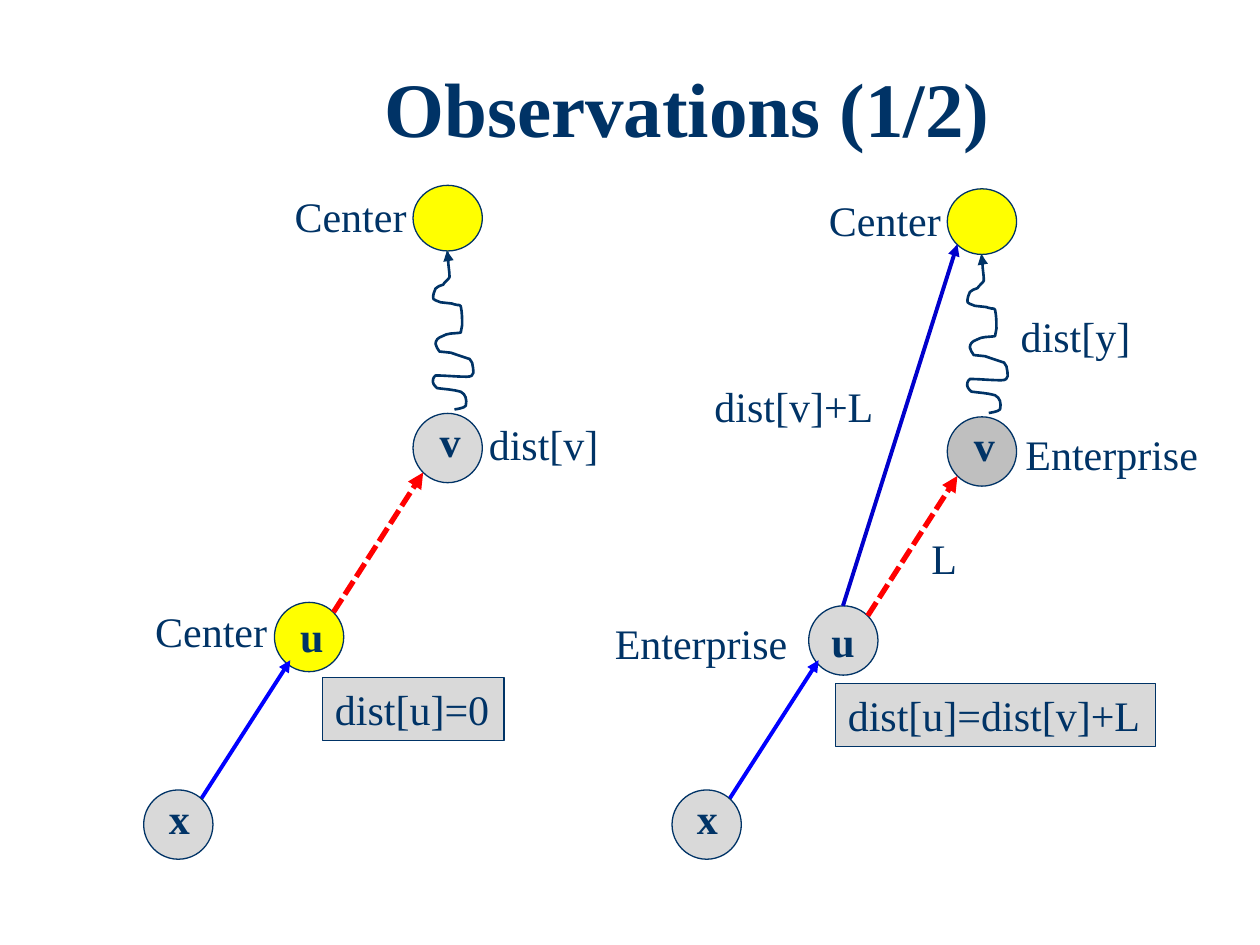
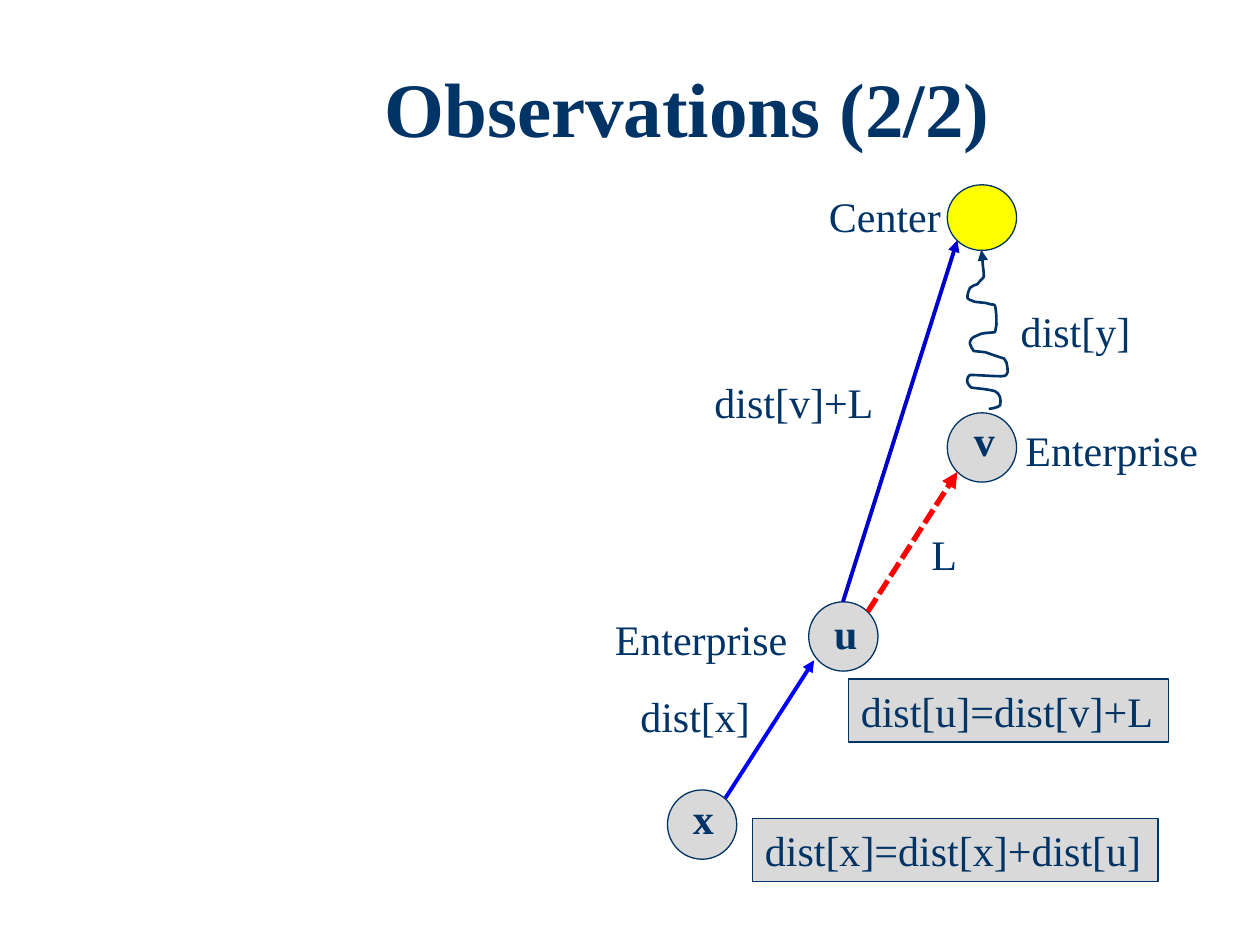
"""Build two slides of tree diagrams showing how distances to a center change."""
import pptx
import pptx.util
import pptx.dml.color
import pptx.enum.dml
import pptx.enum.shapes
import pptx.enum.text
import pptx.oxml
import pptx.oxml.ns

Pt = pptx.util.Pt
FONT = "Times New Roman"
HUE = {"ink": "003366", "sun": "FFFF00", "pale": "D9D9D9", "gray": "BFBFBF",
       "red": "FF0000", "blue": "0000FF", "deep": "0000CC"}
NODE, TALL = 39.6, 36
BASE = 451.4
WIDE = {"Center": 79.2, "Enterprise": 113.8, "dist[v]": 77.8, "dist[y]": 77.8,
        "dist[x]": 77.8, "dist[v]+L": 105.8, "L": 29.5, "u": 28.1, "v": 26.6,
        "x": 26.6, "dist[u]=0": 103.7, "dist[u]=dist[v]+L": 182.9,
        "dist[x]=dist[x]+dist[u]": 231.8}
START = (12.2, 90.7)
WAVE = [
    (12.2, 90.7, 18, 90, 18.7, 88.6), (19.4, 85, 18.7, 82.1, 15.8, 80.6),
    (10.8, 79.2, 7.2, 79.2, 2.2, 78.5), (0.7, 77, -0.7, 75.6, 0, 73.4),
    (0, 72.7, 0.7, 72, 1.4, 71.3), (7.2, 71.3, 13, 72, 19.4, 72),
    (24.5, 72, 23, 68.4, 22.3, 64.1), (21.6, 63.4, 21.6, 62.6, 20.9, 61.9),
    (19.4, 61.2, 18, 61.2, 16.6, 60.5), (12.2, 59),
    (11.5, 59, 10.8, 58.3, 10.1, 58.3), (3.6, 57.6),
    (2.9, 56.2, 1.4, 54.7, 1.4, 53.3), (1.4, 51.1, 2.9, 49.7, 5, 49),
    (8.6, 46.8, 11.5, 47.5, 15.8, 46.8), (15.8, 45.4, 16.6, 43.9, 16.6, 42.5),
    (16.6, 38.9, 16.6, 35.3, 15.8, 31.7), (15.8, 31, 14.4, 31, 13.7, 31),
    (12.2, 31, 11.5, 30.2, 10.8, 30.2), (8.6, 30.2, 6.5, 29.5, 4.3, 29.5),
    (2.9, 28.8, -0.7, 28.1, 0, 26.6), (0, 25.2, 0.7, 23, 1.4, 21.6),
    (2.2, 20.2, 4.3, 20.2, 5.8, 19.4), (5.8, 18.7, 9.4, 15.8, 9.4, 15.1),
    (9.4, 11.5, 8.6, 8.6, 8.6, 5), (7.9, -3.6, 7.9, 5.8, 7.9, 0)]

FIRST = {
    "v": (236, 236.2), "x": 82.1, "hues": ("sun", "pale"), "link": False,
    "names": [("v", 244.1, 233.7), ("u", 164.4, 345.6), ("x", 89.5, 449.3)],
    "labels": [("Center", 161.3, 105.5), ("dist[v]", 272.2, 235.4),
               ("Center", 81.6, 342.7)],
    "boxes": [("dist[u]=0", 184.3, 387)]}
NEXT = {
    "v": (541.3, 238.2), "x": 384, "hues": ("pale", "gray"), "link": True,
    "names": [("v", 549.5, 236), ("u", 468, 348), ("x", 391.2, 449.3)],
    "labels": [("Center", 466.6, 107.5), ("dist[y]", 576.2, 173.7),
               ("dist[v]+L", 401.2, 213.9), ("L", 525.1, 301),
               ("Enterprise", 578.9, 241.4), ("Enterprise", 344.2, 349.4)],
    "boxes": [("dist[u]=dist[v]+L", 477.4, 390.6)]}
LAST = {
    "v": (541.3, 235.9), "x": 381.4, "hues": ("pale", "pale"), "link": True,
    "names": [("v", 549.5, 233.5), ("u", 469.6, 343.6), ("x", 388.8, 449.3)],
    "labels": [("Center", 466.6, 105.2), ("dist[y]", 576.2, 171.2),
               ("dist[v]+L", 401.2, 211.7), ("L", 525.1, 298.4),
               ("Enterprise", 578.9, 238.9), ("Enterprise", 344.2, 347),
               ("dist[x]", 358.8, 391)],
    "boxes": [("dist[u]=dist[v]+L", 484.8, 388.1),
              ("dist[x]=dist[x]+dist[u]", 430, 467.8)]}
SLIDES = [("Observations (1/2)", [FIRST, NEXT]), ("Observations (2/2)", [LAST])]


def color(name):
    return pptx.dml.color.RGBColor.from_string(HUE[name])


def style(font, size, bold):
    font.name, font.size, font.bold = FONT, Pt(size), bold
    font.color.rgb = color("ink")


def tag(name, rest=""):
    space = pptx.oxml.ns.nsdecls("a")
    return pptx.oxml.parse_xml(f"<a:{name} {space} {rest}/>")


def form(slide, kind, x, y, wide, high, fill):
    shape = slide.shapes.add_shape(kind, Pt(x), Pt(y), Pt(wide), Pt(high))
    shape.shadow.inherit = False
    shape.fill.solid()
    shape.fill.fore_color.rgb = color(fill)
    shape.line.color.rgb = color("ink")
    shape.line.width = Pt(0.75)
    return shape


def node(slide, x, y, fill, high=NODE):
    form(slide, pptx.enum.shapes.MSO_SHAPE.OVAL, x, y, NODE, high, fill)


def tip(shape, hue, width):
    shape.line.color.rgb = color(hue)
    shape.line.width = Pt(width)
    shape.line._get_or_add_ln().append(tag("tailEnd", 'type="triangle"'))


def arrow(slide, start, end, hue, width=2.25, dash=False):
    line = slide.shapes.add_connector(pptx.enum.shapes.MSO_CONNECTOR.STRAIGHT,
                                      *[Pt(n) for n in start + end])
    if dash:
        line.line.dash_style = pptx.enum.dml.MSO_LINE.SQUARE_DOT
    tip(line, hue, width)
    line._element.spPr.append(tag("effectLst"))


def write(box, text, bold=False):
    frame = box.text_frame
    frame.word_wrap = False
    frame.auto_size = pptx.enum.text.MSO_AUTO_SIZE.SHAPE_TO_FIT_TEXT
    frame.vertical_anchor = pptx.enum.text.MSO_ANCHOR.TOP
    frame.text = text
    frame.paragraphs[0].alignment = pptx.enum.text.PP_ALIGN.LEFT
    style(frame.paragraphs[0].font, 24, bold)


def label(slide, text, x, y, bold=False):
    box = slide.shapes.add_textbox(Pt(x), Pt(y), Pt(WIDE[text]), Pt(TALL))
    write(box, text, bold)


def panel(slide, text, x, y):
    kind = pptx.enum.shapes.MSO_SHAPE.RECTANGLE
    write(form(slide, kind, x, y, WIDE[text], TALL, "pale"), text)


def wave(slide, x, y):
    ends = [(Pt(x + part[-2]), Pt(y + part[-1])) for part in [START] + WAVE]
    pen = slide.shapes.build_freeform(*ends[0])
    pen.add_line_segments(ends[1:], close=False)
    curve = pen.convert_to_shape()
    curve.shadow.inherit = False
    curve.fill.background()
    tip(curve, "ink", 1.5)
    steps = list(curve._element.iter(pptx.oxml.ns.qn("a:lnTo")))
    for step, part in zip(steps, WAVE):
        if len(part) == 6:
            bend = tag("cubicBezTo")
            for px, py in zip(part[::2], part[1::2]):
                bend.append(tag("pt", f'x="{int(Pt(px))}" y="{int(Pt(py))}"'))
            step.getparent().replace(step, bend)


def tree(slide, data):
    x, y = data["v"]
    low, high = data["hues"]
    root = data["x"]
    node(slide, x - 79.2, y + 108, low)
    node(slide, x, y, high)
    wave(slide, x + 11.5, y - 92.9)
    node(slide, x, y - 130.3, "sun", 37.5)
    arrow(slide, (x - 45.4, y + 113.6), (x + 5.8, y + 33.8), "red", 3, True)
    if data["link"]:
        arrow(slide, (x - 59.6, y + 108), (x + 5.8, y - 98.6), "deep")
    for spot in data["boxes"]:
        panel(slide, *spot)
    arrow(slide, (root + 32.4, BASE + 5.8), (root + 83.8, BASE - 74.1), "blue")
    node(slide, root, BASE, "pale")
    for spot in data["labels"]:
        label(slide, *spot)
    for spot in data["names"]:
        label(slide, *spot, bold=True)


def head(slide, text):
    title = slide.shapes.title
    title.left, title.top, title.width, title.height = (
        Pt(104.8), Pt(36.7), Pt(576), Pt(66.2))
    frame = title.text_frame
    frame.auto_size = pptx.enum.text.MSO_AUTO_SIZE.NONE
    frame.vertical_anchor = pptx.enum.text.MSO_ANCHOR.TOP
    frame.text = text
    line = frame.paragraphs[0]
    line.alignment = pptx.enum.text.PP_ALIGN.CENTER
    line.line_spacing = 0.9
    style(line.font, 44, True)


def main():
    deck = pptx.Presentation()
    deck.slide_width, deck.slide_height = Pt(720), Pt(540)
    for text, trees in SLIDES:
        slide = deck.slides.add_slide(deck.slide_layouts[5])
        head(slide, text)
        for data in trees:
            tree(slide, data)
    deck.save("out.pptx")


if __name__ == "__main__":
    main()
